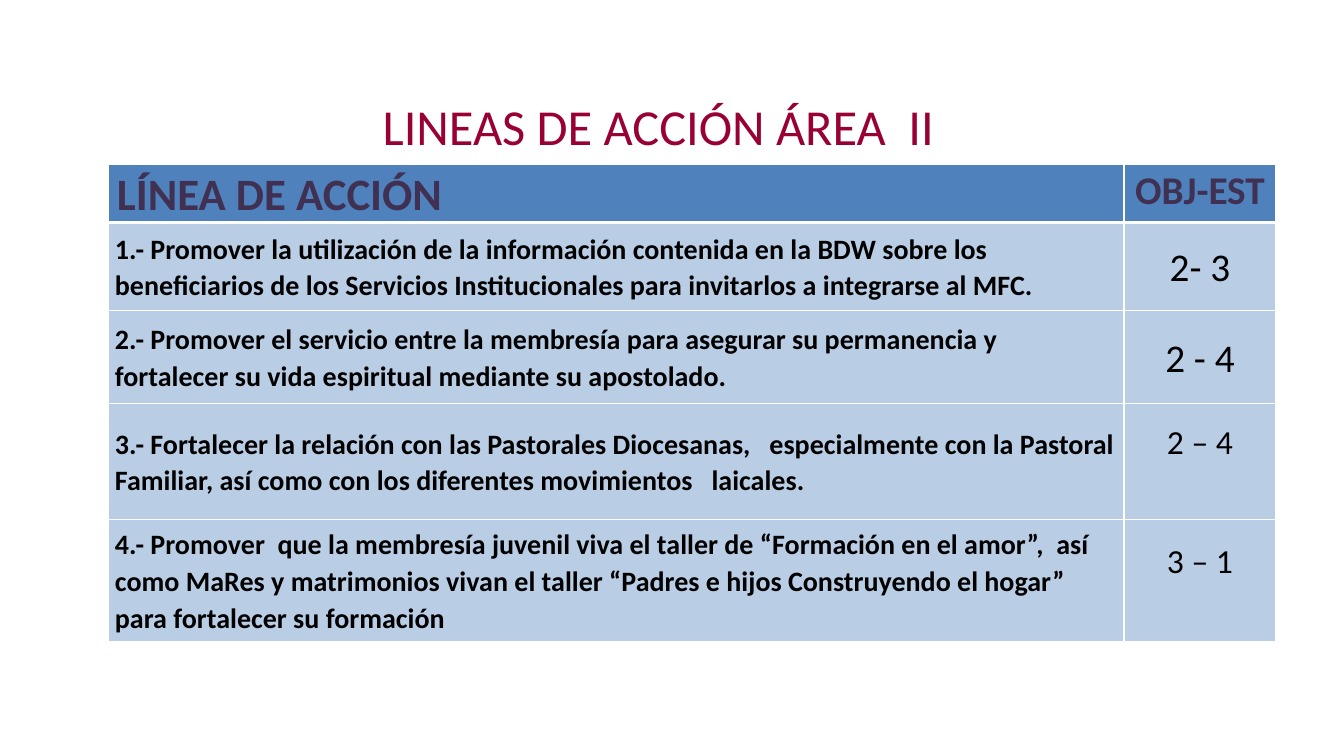
from lxml import etree
from pptx import Presentation, util as u
from pptx.dml.color import RGBColor
from pptx.enum import text
from pptx.oxml.ns import qn

SCALE = 914400 / 100.8
HUES = {"title": "990033", "head": "403152", "ink": "000000",
        "band": "4F81BD", "pale": "B9CDE5", "rule": "FFFFFF"}
MID, TOP = text.MSO_ANCHOR.MIDDLE, text.MSO_ANCHOR.TOP
LEFT, CENTER = text.PP_ALIGN.LEFT, text.PP_ALIGN.CENTER


def px(n):
    return u.Emu(round(n * SCALE))


def write(frame, words, size, hue, bold=False, align=LEFT, space=1.0):
    para = frame.paragraphs[0]
    para.alignment, para.line_spacing = align, space
    run = para.add_run()
    run.text = words
    font = run.font
    font.name, font.size, font.bold = "Calibri", u.Pt(size), bold
    font.color.rgb = RGBColor.from_string(HUES[hue])


class Page:
    def __init__(self, deck):
        self.slide = deck.slides.add_slide(deck.slide_layouts[5])

    def title(self, words, box, **style):
        shape = self.slide.shapes.title
        shape.left, shape.top, shape.width, shape.height = map(px, box)
        shape.text_frame.vertical_anchor = MID
        write(shape.text_frame, words, **style)

    def table(self, left, top, cols, rows):
        frame = self.slide.shapes.add_table(
            len(rows), len(cols), px(left), px(top), px(sum(cols)), px(sum(rows)))
        grid = frame.table
        grid.first_row = grid.horz_banding = False
        for col, wide in zip(grid.columns, cols):
            col.width = px(wide)
        for row, high in zip(grid.rows, rows):
            row.height = px(high)
        return grid

    def cell(self, cell, words, fill, anchor=MID, left=7, below=0, edges=(1, 1, 1, 1), **style):
        cell.margin_left, cell.margin_right = px(left), px(7)
        cell.margin_top, cell.margin_bottom = 0, px(below)
        cell.vertical_anchor = anchor
        self.border(cell, edges)
        cell.fill.solid()
        cell.fill.fore_color.rgb = RGBColor.from_string(HUES[fill])
        write(cell.text_frame, words, space=1.07, **style)

    def border(self, cell, edges):
        props = cell._tc.get_or_add_tcPr()
        for side, wide in zip("LRTB", edges):
            line = etree.SubElement(props, qn("a:ln" + side), w=str(u.Pt(wide)))
            fill = etree.SubElement(line, qn("a:solidFill"))
            etree.SubElement(fill, qn("a:srgbClr"), val=HUES["rule"])


deck = Presentation()
deck.slide_width, deck.slide_height = px(1344), px(756)
page = Page(deck)

# Title
page.title("LINEAS DE ACCIÓN ÁREA  II", (104, 73, 1109, 104),
           size=36, hue="title", align=CENTER)

# Lines of action: text, objective, objective size, room below the objective
LINES = [
    ("1.- Promover la utilización de la información contenida en la BDW sobre los "
     "beneficiarios de los Servicios Institucionales para invitarlos a integrarse al MFC.",
     "2- 3", 28, 0),
    ("2.- Promover el servicio entre la membresía para asegurar su permanencia y "
     "fortalecer su vida espiritual mediante su apostolado.",
     "2 - 4", 28, 0),
    ("3.- Fortalecer la relación con las Pastorales Diocesanas,   especialmente con la "
     "Pastoral Familiar, así como con los diferentes movimientos   laicales.",
     "2 – 4", 24, 40),
    ("4.- Promover  que la membresía juvenil viva el taller de “Formación en el amor”,  "
     "así como MaRes y matrimonios vivan el taller “Padres e hijos Construyendo el hogar” "
     "para fortalecer su formación",
     "3 – 1", 24, 40),
]
grid = page.table(108, 164, [1016, 152], [55, 88, 93, 116, 122])

# Header row
head = dict(fill="band", anchor=TOP, edges=(1, 1, 1, 3), hue="head", bold=True)
page.cell(grid.cell(0, 0), "LÍNEA DE ACCIÓN", left=9, size=32, **head)
page.cell(grid.cell(0, 1), "OBJ-EST", size=28, align=CENTER, **head)

# Body rows
for i, (line, goal, size, below) in enumerate(LINES, 1):
    edges = (1, 1, 3 if i == 1 else 1, 1)
    body = dict(fill="pale", hue="ink", edges=edges)
    page.cell(grid.cell(i, 0), line, size=20, bold=True, **body)
    page.cell(grid.cell(i, 1), goal, size=size, below=below, align=CENTER, **body)

deck.save("out.pptx")
